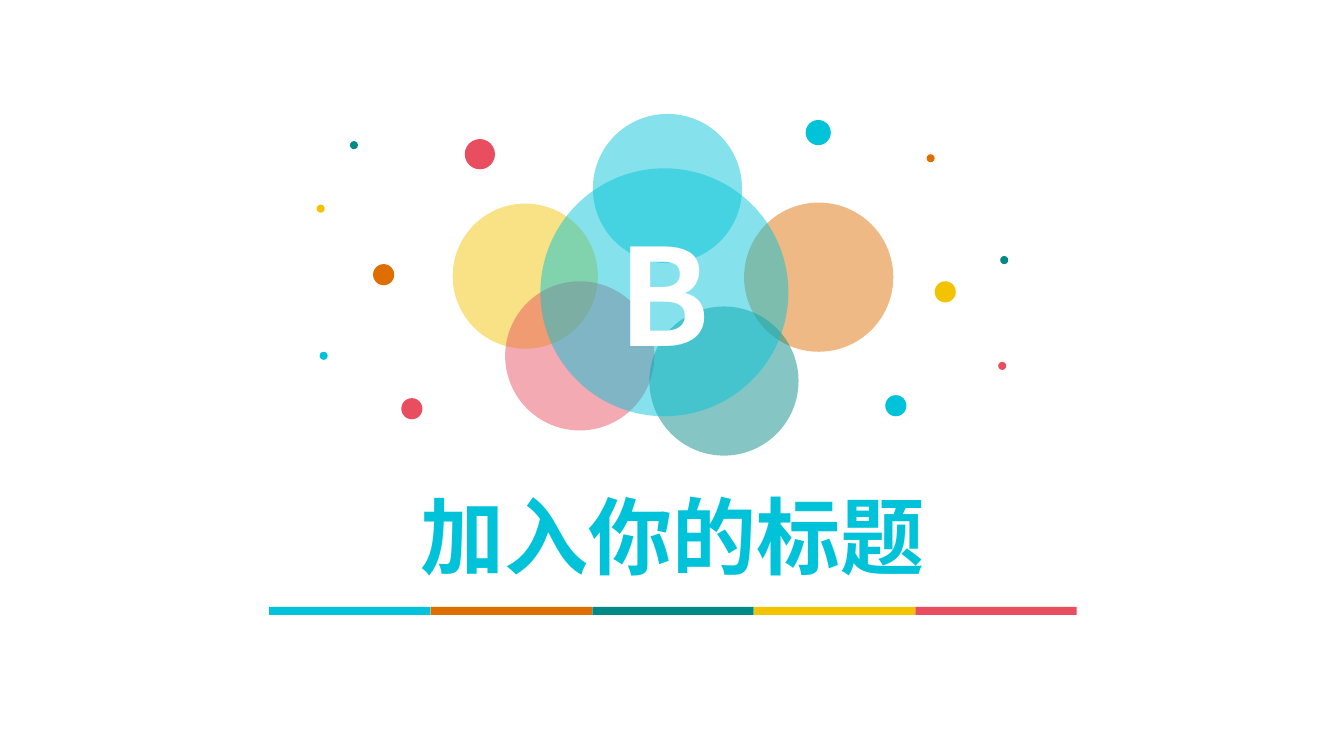
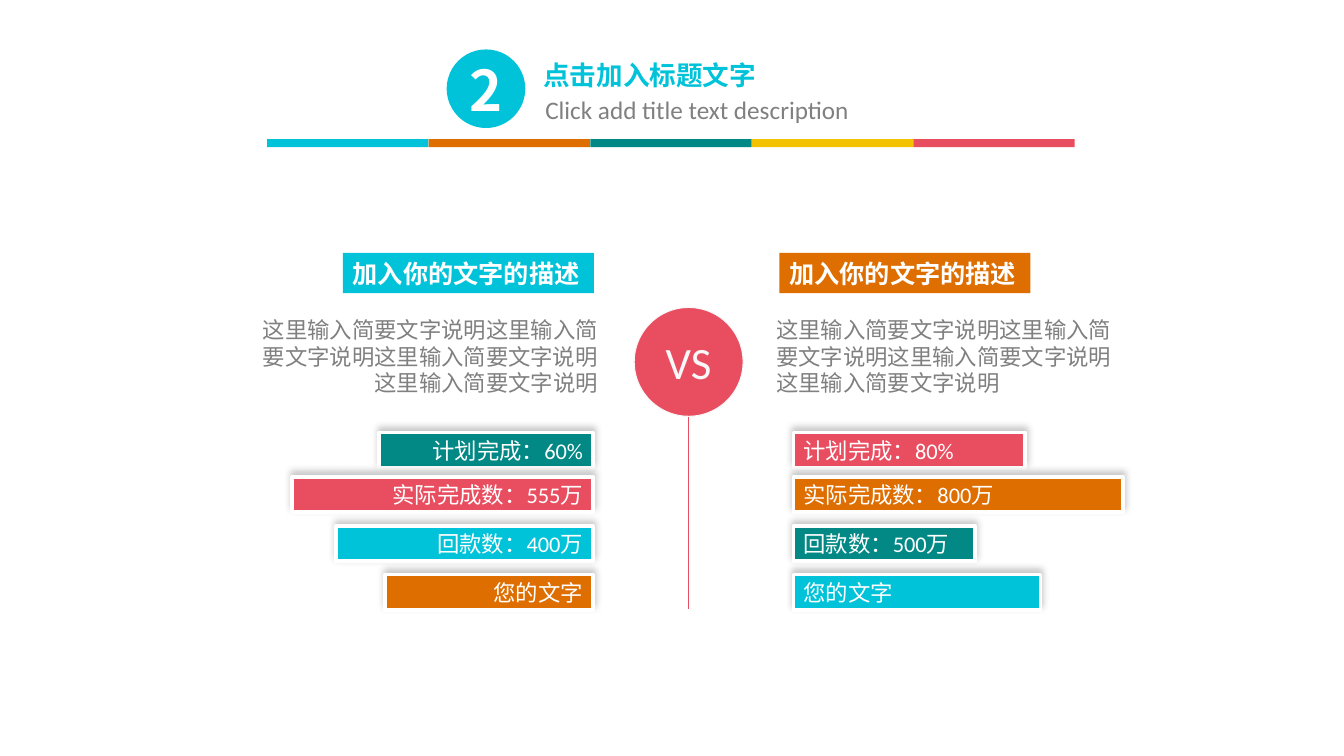
from lxml import etree
from pptx import Presentation
from pptx import util as u
from pptx.dml.color import RGBColor
from pptx.enum import shapes, text
from pptx.oxml.ns import qn

COLORS = {
    "cyan": "00C3D9", "orange": "DE6E00", "teal": "028985", "yellow": "F3C301",
    "red": "E94E60", "white": "FFFFFF", "pale": "F8F8F8", "gray": "808080",
}
CJK_FONT = "Noto Sans CJK SC"
LEFT, CENTER, RIGHT = text.PP_ALIGN.LEFT, text.PP_ALIGN.CENTER, text.PP_ALIGN.RIGHT
RECTANGLE, OVAL = shapes.MSO_SHAPE.RECTANGLE, shapes.MSO_SHAPE.OVAL


def write_text(shape, *lines, size, color="white", font=CJK_FONT, bold=False, align=LEFT,
               anchor=text.MSO_ANCHOR.MIDDLE, insets=(0.1, 0.05), wrap=True, spacing=None):
    frame = shape.text_frame
    frame.auto_size = text.MSO_AUTO_SIZE.NONE
    frame.word_wrap = wrap
    frame.vertical_anchor = anchor
    frame.margin_left = frame.margin_right = u.Inches(insets[0])
    frame.margin_top = frame.margin_bottom = u.Inches(insets[1])
    for index, line in enumerate(lines):
        paragraph = frame.add_paragraph() if index else frame.paragraphs[0]
        paragraph.alignment = align
        if spacing:
            paragraph.line_spacing = u.Pt(spacing)
        run = paragraph.add_run()
        run.text = line
        run.font.size = u.Pt(size)
        run.font.bold = bold
        run.font.name = font
        run.font.color.rgb = RGBColor.from_string(COLORS[color])
        east_asian = etree.SubElement(run.font._element, qn("a:ea"))
        east_asian.set("typeface", CJK_FONT)


def draw_shape(slide, kind, box, color, alpha=None, line=None, line_width=0.75):
    shape = slide.shapes.add_shape(kind, *map(u.Inches, box))
    shape.shadow.inherit = False
    shape.fill.solid()
    shape.fill.fore_color.rgb = RGBColor.from_string(COLORS[color])
    if alpha:
        fill_color = shape._element.spPr.find(qn("a:solidFill"))[0]
        etree.SubElement(fill_color, qn("a:alpha")).set("val", str(alpha * 1000))
    if line:
        shape.line.color.rgb = RGBColor.from_string(COLORS[line])
        shape.line.width = u.Pt(line_width)
    else:
        shape.line.fill.background()
    return shape


presentation = Presentation()
presentation.slide_width = u.Inches(13.33)
presentation.slide_height = u.Inches(7.5)
title_only = presentation.slide_layouts[5]
cover = presentation.slides.add_slide(title_only)
comparison = presentation.slides.add_slide(title_only)

# Titles and five-colour strips
for slide, box, title, size, align, strip_left, strip_top in [
    (cover, (1.75, 4.94, 9.84, 0.74), "加入你的标题", 60, CENTER, 2.67, 6.02),
    (comparison, (5.31, 0.5, 2.88, 0.48), "点击加入标题文字", 19, LEFT, 2.65, 1.38),
]:
    placeholder = slide.shapes.title
    placeholder.left, placeholder.top, placeholder.width, placeholder.height = map(u.Inches, box)
    write_text(placeholder, title, size=size, color="cyan", bold=True, align=align,
               insets=(0.08, 0.04))
    for index, color in enumerate(["cyan", "orange", "teal", "yellow", "red"]):
        draw_shape(slide, RECTANGLE, (strip_left + index * 1.6025, strip_top, 1.6, 0.08), color)

# Cover: scattered dots
for left, top, diameter, color in [
    (3.14, 2.03, 0.08, "yellow"), (3.47, 1.4, 0.08, "teal"), (3.17, 3.49, 0.08, "cyan"),
    (9.19, 1.53, 0.08, "orange"), (9.92, 2.54, 0.08, "teal"), (9.9, 3.59, 0.08, "red"),
    (3.7, 2.62, 0.21, "orange"), (3.98, 3.95, 0.21, "red"), (9.27, 2.79, 0.21, "yellow"),
    (8.78, 3.92, 0.21, "cyan"), (7.99, 1.19, 0.25, "cyan"), (4.61, 1.38, 0.3, "red"),
]:
    draw_shape(cover, OVAL, (left, top, diameter, diameter), color)

# Cover: translucent petals, with the lettered circle on top
for left, top, diameter, color in [
    (4.49, 2.02, 1.44, "yellow"), (5.01, 2.79, 1.48, "red"), (5.88, 1.13, 1.48, "cyan"),
    (7.38, 2.01, 1.48, "orange"), (6.44, 3.04, 1.48, "teal"), (5.36, 1.67, 2.46, "cyan"),
]:
    circle = draw_shape(cover, OVAL, (left, top, diameter, diameter), color, alpha=48)
write_text(circle, "B", size=96, bold=True, align=CENTER)

# Comparison: section number and subtitle
number = draw_shape(comparison, OVAL, (4.43, 0.49, 0.78, 0.78), "cyan")
write_text(number, "2", size=40, bold=True, align=CENTER, insets=(0, 0))
subtitle = comparison.shapes.add_textbox(*map(u.Inches, (5.31, 0.89, 3.36, 0.4)))
write_text(subtitle, "Click add title text description", size=18, color="gray", font="Calibri")

# Comparison: divider and VS badge
divider = comparison.shapes.add_connector(
    shapes.MSO_CONNECTOR.STRAIGHT, *map(u.Inches, (6.83, 4.12, 6.83, 6.04)))
divider.line.color.rgb = RGBColor.from_string(COLORS["red"])
divider.line.width = u.Pt(0.75)
etree.SubElement(divider._element.spPr, qn("a:effectLst"))
badge = draw_shape(comparison, OVAL, (6.29, 3.05, 1.08, 1.08), "red", line="pale")
write_text(badge, "VS", size=32, color="pale", font="Calibri", align=CENTER, insets=(0, 0))

# Comparison: two sides, each with a heading, a description and bars
PHRASE = "这里输入简要文字说明"
BAR_TOPS = [4.29, 4.73, 5.22, 5.7]
for align, heading_left, heading_color, text_left, text_width, bar_edge, bars in [
    (RIGHT, 3.4, "cyan", 2.44, 3.59, 5.88, [
        ("计划完成：60%", 2.12, "teal"), ("实际完成数：555万", 2.98, "red"),
        ("回款数：400万", 2.55, "cyan"), ("您的文字", 2.06, "orange")]),
    (LEFT, 7.73, "orange", 7.6, 3.72, 7.87, [
        ("计划完成：80%", 2.3, "red"), ("实际完成数：800万", 3.27, "orange"),
        ("回款数：500万", 1.8, "teal"), ("您的文字", 2.45, "cyan")]),
]:
    heading = draw_shape(comparison, RECTANGLE, (heading_left, 2.51, 2.49, 0.4), heading_color)
    write_text(heading, "加入你的文字的描述", size=18, font="Arial", bold=True, wrap=False)
    description = comparison.shapes.add_textbox(
        *map(u.Inches, (text_left, 3.09, text_width, 0.91)))
    write_text(description, PHRASE * 3, PHRASE, size=16, color="gray", font="Arial",
               align=align, anchor=text.MSO_ANCHOR.TOP, spacing=19)
    for top, (label, width, color) in zip(BAR_TOPS, bars):
        left = bar_edge - width if align == RIGHT else bar_edge
        bar = draw_shape(comparison, RECTANGLE, (left, top, width, 0.35), color,
                         line="white", line_width=2.75)
        write_text(bar, label, size=16, font="Calibri", align=align)
        effects = bar._element.spPr.find(qn("a:effectLst"))
        shadow = etree.SubElement(effects, qn("a:outerShdw"), blurRad=str(u.Pt(5)),
                                  dist=str(u.Pt(3)), dir=str(275 * 60000), rotWithShape="0")
        shadow_color = etree.SubElement(shadow, qn("a:srgbClr"), val="000000")
        etree.SubElement(shadow_color, qn("a:alpha"), val="22000")

presentation.save("out.pptx")
